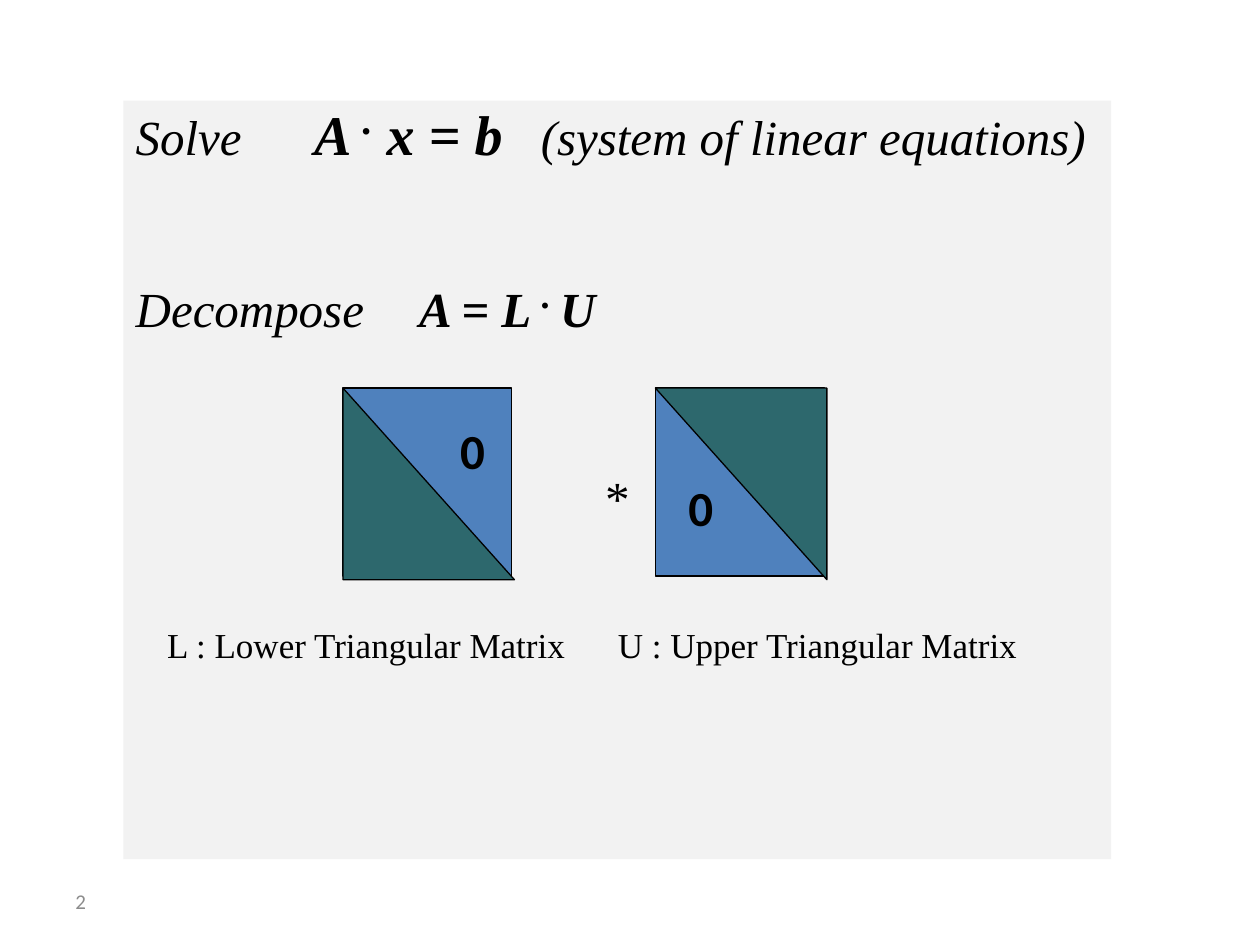
from dataclasses import dataclass

from lxml.etree import SubElement
from pptx import Presentation
from pptx.dml.color import RGBColor
from pptx.enum.shapes import MSO_SHAPE as Preset
from pptx.enum.text import MSO_ANCHOR as Anchor, PP_ALIGN as Align
from pptx.oxml.ns import qn
from pptx.util import Pt


@dataclass(frozen=True)
class Theme:
    serif: str = "Times New Roman"
    sans: str = "Calibri"
    panel: str = "F2F2F2"
    zero_part: str = "4F81BD"
    filled_part: str = "2D686D"
    ink: str = "000000"
    muted: str = "8C8C8C"
    page_size: int = 12
    caption_size: int = 20
    body_size: int = 28
    equation_size: int = 32
    small_dot_size: int = 36
    large_dot_size: int = 40


THEME = Theme()
BOLD_ITALIC = {"bold": True, "italic": True}
ITALIC = {"italic": True}
LINE_HEIGHT = 36

# Each line: space before, tab stops, runs of (text, size, style)
LINES = [
    (5, [102, 231.5], [
        ("Solve\t", THEME.body_size, ITALIC),
        ("A ", THEME.equation_size, BOLD_ITALIC),
        (".", THEME.large_dot_size, {**BOLD_ITALIC, "raised": True}),
        (" x = b", THEME.equation_size, BOLD_ITALIC),
        ("\t(system of linear equations)", THEME.body_size, ITALIC),
    ]),
    (61.5, [162], [
        ("Decompose\t", THEME.body_size, ITALIC),
        ("A = L ", THEME.body_size, BOLD_ITALIC),
        (". ", THEME.small_dot_size, {**BOLD_ITALIC, "raised": True}),
        ("U", THEME.body_size, BOLD_ITALIC),
    ]),
    (70, [267], [("\t*", THEME.body_size, ITALIC)]),
    (44, [18, 275.5], [
        ("\tL : Lower Triangular Matrix", THEME.caption_size, {}),
        ("\tU : Upper Triangular Matrix", THEME.caption_size, {}),
    ]),
]

PANEL_BOX = (70.5, 57.5, 564.5, 433.5)
PAGE_NUMBER_BOX = (36, 500.5, 168, 29)
MATRIX_TOP = 221.75
SQUARE_SIZE = (96.5, 107.5)
TRIANGLE_SIZE = (98, 109.5)
ZERO_SIZE = (29, 41)

# Each matrix: left, triangle rotation, left and top of its zero
MATRICES = [
    (196, 0, 255.5, 237),
    (374.5, 180, 386, 269.5),
]


def points(values):
    return [Pt(value) for value in values]


def add_run(paragraph, text, size, font, color=THEME.ink,
            bold=False, italic=False, raised=False):
    run = paragraph.add_run()
    run.text = text
    run.font.name = font
    run.font.size = Pt(size)
    run.font.bold = bold
    run.font.italic = italic
    run.font.color.rgb = RGBColor.from_string(color)
    if raised:
        run._r.get_or_add_rPr().set("baseline", "30000")


def set_tab_stops(paragraph, stops):
    tab_list = SubElement(paragraph._p.get_or_add_pPr(), qn("a:tabLst"))
    for stop in stops:
        SubElement(tab_list, qn("a:tab"), pos=str(int(Pt(stop))), algn="l")


def add_filled_shape(shapes, preset, box, fill, outlined=True):
    shape = shapes.add_shape(preset, *points(box))
    shape.shadow.inherit = False
    shape.fill.solid()
    shape.fill.fore_color.rgb = RGBColor.from_string(fill)
    if outlined:
        shape.line.color.rgb = RGBColor.from_string(THEME.ink)
        shape.line.width = Pt(0.75)
    else:
        shape.line.fill.background()
    return shape


def add_panel(slide):
    panel = add_filled_shape(slide.shapes, Preset.RECTANGLE, PANEL_BOX,
                             THEME.panel, outlined=False)
    frame = panel.text_frame
    frame.word_wrap = True
    frame.vertical_anchor = Anchor.TOP
    for index, (space, stops, runs) in enumerate(LINES):
        paragraph = frame.add_paragraph() if index else frame.paragraphs[0]
        paragraph.alignment = Align.LEFT
        paragraph.line_spacing = Pt(LINE_HEIGHT)
        paragraph.space_before = Pt(space)
        set_tab_stops(paragraph, stops)
        for text, size, style in runs:
            add_run(paragraph, text, size, THEME.serif, **style)


def add_matrix(slide, left, rotation, zero_left, zero_top):
    """Draw a square half covered by a triangle, with 0 in the open half."""
    shapes = slide.shapes.add_group_shape().shapes
    add_filled_shape(shapes, Preset.RECTANGLE,
                     (left, MATRIX_TOP, *SQUARE_SIZE), THEME.zero_part)
    triangle = add_filled_shape(shapes, Preset.RIGHT_TRIANGLE,
                                (left, MATRIX_TOP, *TRIANGLE_SIZE),
                                THEME.filled_part)
    triangle.rotation = rotation
    zero = shapes.add_textbox(*points((zero_left, zero_top, *ZERO_SIZE)))
    zero.text_frame.word_wrap = False
    paragraph = zero.text_frame.paragraphs[0]
    paragraph.alignment = Align.CENTER
    add_run(paragraph, "0", THEME.body_size, THEME.sans, bold=True)


def add_page_number(slide):
    box = slide.shapes.add_textbox(*points(PAGE_NUMBER_BOX))
    box.text_frame.word_wrap = True
    box.text_frame.vertical_anchor = Anchor.MIDDLE
    add_run(box.text_frame.paragraphs[0], "2", THEME.page_size,
            THEME.sans, THEME.muted)


def main():
    presentation = Presentation()
    presentation.slide_width, presentation.slide_height = points((720, 540))
    slide = presentation.slides.add_slide(presentation.slide_layouts[6])
    add_page_number(slide)
    add_panel(slide)
    for matrix in MATRICES:
        add_matrix(slide, *matrix)
    presentation.save("out.pptx")


if __name__ == "__main__":
    main()
